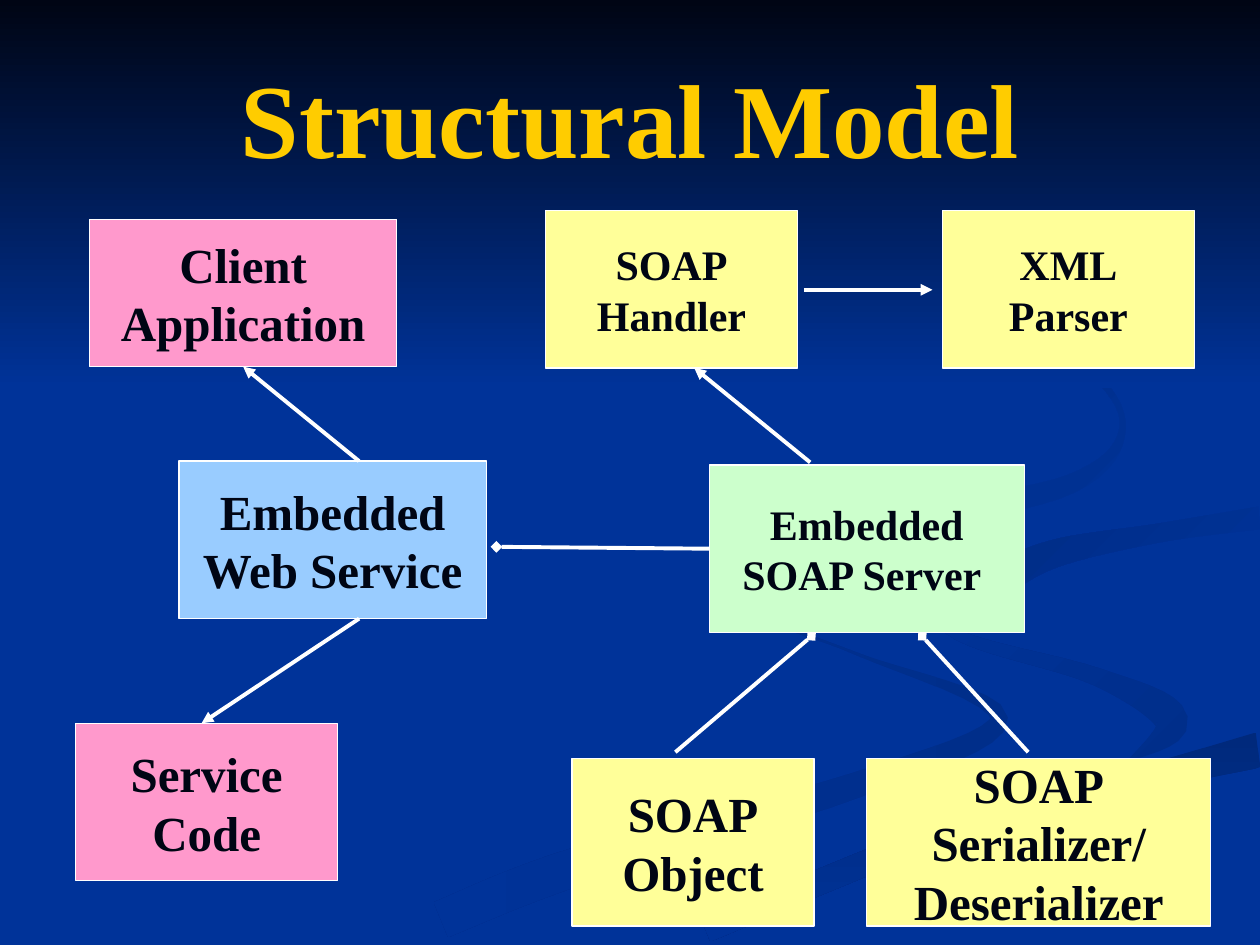
import math
from dataclasses import dataclass

from lxml import etree
from pptx import Presentation
from pptx import util as u
from pptx.dml.color import RGBColor
from pptx.enum import shapes as sh, text as tx
from pptx.oxml import ns


@dataclass(frozen=True)
class Theme:
    font: str = "Times New Roman"
    back: str = "003399"
    dark: str = "000514"
    gold: str = "FFCC00"
    white: str = "FFFFFF"
    pink: str = "FF99CC"
    blue: str = "99CCFF"
    green: str = "CCFFCC"
    cream: str = "FFFF99"
    title: int = 60
    large: int = 28
    small: int = 24


T = Theme()
WIDE, HIGH = 10, 7.5

# Ribbons: fill stops, clockwise angle, points on the middle line (x, y, width)
WAVES = [
    (("002E8A", T.back), 180, [
        (5.75, 4.6, 0), (5.85, 4.83, 0.04), (6.8, 5.19, 0.02),
        (7.93, 5.7, 0.14), (6.8, 6.23, 0.2), (4.6, 6.87, 0.3),
        (3.5, 7.3, 0.3)]),
    (("002E8A", T.back), 225, [
        (7.24, 4.64, 0), (7.6, 5.04, 0.08), (8.7, 5.37, 0.14),
        (9.3, 5.72, 0.26), (8.94, 6.05, 0)]),
    (("00297C", T.back), 90, [
        (5.6, 7.38, 0.2), (7.6, 6.57, 0.2), (9, 6.2, 0.2), (10, 5.95, 0.28)]),
    ((T.back, "002C85"), 225, [
        (8.1, 4.9, 0), (7.93, 4.65, 0.24), (8.35, 4.4, 0.22),
        (9.2, 4.23, 0.15), (10, 4.11, 0.18)]),
    ((T.back, "002B81"), 225, [
        (7.62, 2.33, 0), (8.6, 2.9, 0.05), (8.91, 3.4, 0.05),
        (8.5, 3.84, 0.15), (7.2, 4.15, 0.2), (5.86, 4.6, 0.16),
        (6.2, 5, 0)]),
]

# Boxes: lines of text, left, top, width, height, fill, type size
BOXES = {
    "client": ("Client\nApplication", 0.71, 1.74, 2.44, 1.17, T.pink, T.large),
    "web": ("Embedded\nWeb Service", 1.42, 3.66, 2.44, 1.25, T.blue, T.large),
    "server": ("Embedded\nSOAP Server ", 5.63, 3.69, 2.5, 1.33, T.green, T.small),
    "code": ("Service\nCode", 0.6, 5.74, 2.08, 1.25, T.pink, T.large),
    "object": ("SOAP\nObject", 4.54, 6.02, 1.92, 1.33, T.cream, T.large),
    "serial": ("SOAP\nSerializer/\nDeserializer", 6.88, 6.02, 2.73, 1.33,
               T.cream, T.large),
    "handler": ("SOAP\nHandler", 4.33, 1.67, 2, 1.25, T.cream, T.small),
    "parser": ("XML\nParser", 7.48, 1.67, 2, 1.25, T.cream, T.small),
}

# Links: start, end, mark at the end, (box, side) joined at start and at end
LINKS = [
    ((5.63, 4.35), (3.94, 4.34), "diamond", ("server", 1), None),
    ((5.36, 5.97), (6.44, 5.05), "diamond", None, None),
    ((8.16, 5.97), (7.32, 5.05), "diamond", None, None),
    ((2.85, 4.91), (1.6, 5.74), "triangle", None, None),
    ((2.85, 3.66), (1.94, 2.91), "triangle", None, ("client", 2)),
    ((6.43, 3.67), (5.51, 2.92), "triangle", None, None),
    ((6.38, 2.3), (7.4, 2.3), "triangle", None, None),
]


def rgb(code):
    return RGBColor.from_string(code)


def write(frame, words, size, color, wrap=True):
    frame.word_wrap = wrap
    frame.vertical_anchor = tx.MSO_ANCHOR.MIDDLE
    frame.text = words
    for para in frame.paragraphs:
        para.alignment = tx.PP_ALIGN.CENTER
        font = para.runs[0].font
        font.name, font.size, font.bold = T.font, u.Pt(size), True
        font.color.rgb = rgb(color)


def paint(shape, colors, angle=0):
    """Fill with one colour, or with a gradient of two."""
    shape.shadow.inherit = False
    if len(colors) == 1:
        shape.fill.solid()
        shape.fill.fore_color.rgb = rgb(colors[0])
        return
    shape.fill.gradient()
    shape.fill.gradient_angle = (360 - angle) % 360
    for stop, color in zip(shape.fill.gradient_stops, colors):
        stop.color.rgb = rgb(color)


def curve(knots, steps=8):
    """Run a smooth spline through the knots."""
    ends = [knots[0], *knots, knots[-1]]
    line = []
    for a, b, c, d in zip(ends, ends[1:], ends[2:], ends[3:]):
        for t in (i / steps for i in range(steps)):
            line.append([
                q + t * (r - p + t * (2 * p - 5 * q + 4 * r - s
                                      + t * (3 * (q - r) + s - p))) / 2
                for p, q, r, s in zip(a, b, c, d)])
    return line + [list(knots[-1])]


def outline(knots):
    """Give the two edges of a ribbon as one closed ring."""
    line = curve(knots)
    sides = [], []
    for i, (x, y, wide) in enumerate(line):
        near, far = line[max(i - 1, 0)], line[min(i + 1, len(line) - 1)]
        turn = math.atan2(far[1] - near[1], far[0] - near[0])
        half = max(wide, 0) / 2
        for side, sign in zip(sides, (1, -1)):
            side.append((min(x - sign * half * math.sin(turn), WIDE),
                         min(y + sign * half * math.cos(turn), HIGH)))
    return sides[0] + sides[1][::-1]


def add_wave(slide, colors, angle, knots):
    ring = [(u.Inches(x), u.Inches(y)) for x, y in outline(knots)]
    build = slide.shapes.build_freeform(*ring[0])
    build.add_line_segments(ring[1:], close=True)
    wave = build.convert_to_shape()
    paint(wave, colors, angle)
    wave.line.fill.background()


def add_rect(slide, left, top, width, height):
    return slide.shapes.add_shape(
        sh.MSO_SHAPE.RECTANGLE, *map(u.Inches, (left, top, width, height)))


def add_box(slide, words, left, top, width, height, fill, size):
    box = add_rect(slide, left, top, width, height)
    paint(box, (fill,))
    box.line.color.rgb = rgb(T.white)
    box.line.width = u.Pt(0.75)
    write(box.text_frame, words, size, T.dark, wrap=False)
    return box


def add_link(slide, boxes, start, end, mark, first, last):
    link = slide.shapes.add_connector(
        sh.MSO_CONNECTOR.STRAIGHT, *map(u.Inches, start + end))
    if first:
        link.begin_connect(boxes[first[0]], first[1])
    if last:
        link.end_connect(boxes[last[0]], last[1])
    link.line.color.rgb = rgb(T.white)
    link.line.width = u.Pt(2.25)
    props = link.element.spPr
    tail = etree.SubElement(props.find(ns.qn("a:ln")), ns.qn("a:tailEnd"))
    tail.set("type", mark)
    etree.SubElement(props, ns.qn("a:effectLst"))


def add_title(slide, words):
    title = slide.shapes.title
    title.left, title.top = u.Inches(0.5), u.Inches(0.3)
    title.width, title.height = u.Inches(9), u.Inches(1.25)
    write(title.text_frame, words, T.title, T.gold)
    # Bring the title in front of the backdrop
    title.element.getparent().append(title.element)


def add_back(slide):
    slide.background.fill.solid()
    slide.background.fill.fore_color.rgb = rgb(T.back)
    for wave in WAVES:
        add_wave(slide, *wave)
    band = add_rect(slide, 0, 0, WIDE, 3.08)
    paint(band, (T.dark, T.back), 90)
    band.line.fill.background()


def main():
    deck = Presentation()
    deck.slide_width, deck.slide_height = u.Inches(WIDE), u.Inches(HIGH)
    slide = deck.slides.add_slide(deck.slide_layouts[5])

    # Backdrop and title
    add_back(slide)
    add_title(slide, "Structural Model")

    # Diagram
    boxes = {name: add_box(slide, *box) for name, box in BOXES.items()}
    for link in LINKS:
        add_link(slide, boxes, *link)

    deck.save("out.pptx")


if __name__ == "__main__":
    main()
